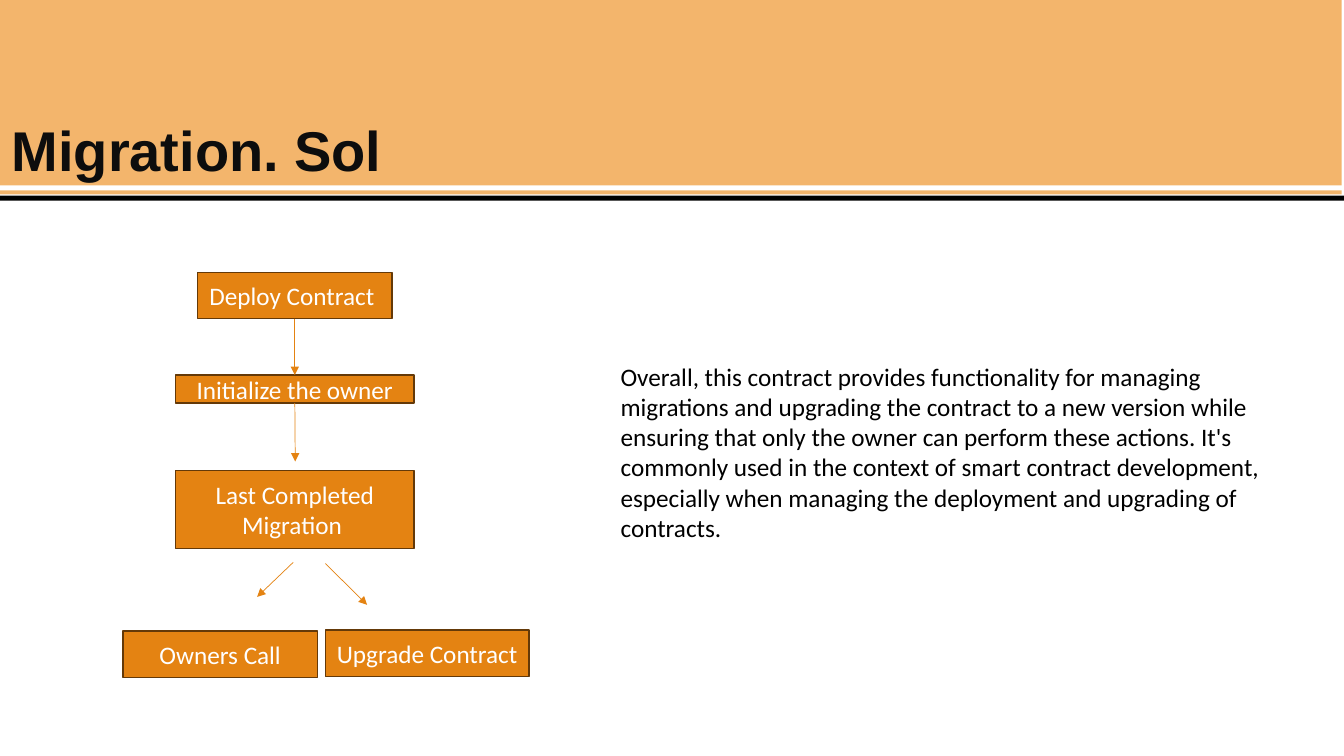
from lxml.etree import SubElement
from pptx import Presentation
from pptx.dml.color import RGBColor
from pptx.enum.shapes import MSO_CONNECTOR as Connector, MSO_SHAPE as Shape
from pptx.enum.text import MSO_ANCHOR as Anchor, MSO_AUTO_SIZE as AutoSize, PP_ALIGN as Align
from pptx.oxml.ns import qn
from pptx.util import Cm, Pt

SAND, ORANGE, BROWN = "F3B56C", "E48312", "643908"
BLACK, WHITE, INK = "000000", "FFFFFF", "0D0D0D"
TOP, BOTTOM = 0, 2
SUMMARY = (
    "Overall, this contract provides functionality for managing migrations and "
    "upgrading the contract to a new version while ensuring that only the owner "
    "can perform these actions. It's commonly used in the context of smart "
    "contract development, especially when managing the deployment and "
    "upgrading of contracts."
)


def paint(colour_format, colour):
    """Set a fill or font colour from a hex string."""
    colour_format.rgb = RGBColor.from_string(colour)


def add_words(frame, words, size, font, colour, bold=False):
    """Write one run into the first paragraph and return that paragraph."""
    frame.word_wrap = True
    paragraph = frame.paragraphs[0]
    run = paragraph.add_run()
    run.text = words
    run.font.size, run.font.name, run.font.bold = Pt(size), font, bold
    paint(run.font.color, colour)
    return paragraph


def add_band(slide, place, colour):
    """Add a filled rectangle without outline."""
    band = slide.shapes.add_shape(Shape.RECTANGLE, *map(Cm, place))
    band.shadow.inherit = False
    band.fill.solid()
    paint(band.fill.fore_color, colour)
    band.line.fill.background()
    return band


def add_step(slide, place, words):
    """Add one labelled box of the flow."""
    step = add_band(slide, place, ORANGE)
    step.line.width = Pt(1)
    step.line.fill.solid()
    paint(step.line.color, BROWN)
    step.text_frame.vertical_anchor = Anchor.MIDDLE
    label = add_words(step.text_frame, words, 18, "Calibri", WHITE)
    label.alignment = Align.CENTER
    return step


def add_passage(slide, place, words, size, font, colour, bold=False):
    """Add a free-standing text box that grows with its text."""
    passage = slide.shapes.add_textbox(*map(Cm, place))
    add_words(passage.text_frame, words, size, font, colour, bold)
    passage.text_frame.auto_size = AutoSize.SHAPE_TO_FIT_TEXT


def add_arrow(slide, start, end, source=None, target=None):
    """Add a thin arrow, joined to the steps it touches."""
    arrow = slide.shapes.add_connector(Connector.STRAIGHT, *map(Cm, (*start, *end)))
    if source is not None:
        arrow.begin_connect(source, BOTTOM)
    if target is not None:
        arrow.end_connect(target, TOP)
    arrow.line.width = Pt(0.5)
    paint(arrow.line.color, ORANGE)
    SubElement(arrow.line._get_or_add_ln(), qn("a:tailEnd"), type="triangle")
    SubElement(arrow._element.spPr, qn("a:effectLst"))


def main():
    """Build the contract migration slide."""
    deck = Presentation()
    deck.slide_width, deck.slide_height = Cm(33.87), Cm(19.05)
    slide = deck.slides.add_slide(deck.slide_layouts[6])

    add_band(slide, (-0.05, 0, 33.86, 4.9), SAND)
    add_passage(slide, (0.05, 2.79, 22.76, 1.96), "Migration. Sol", 40, "Arial", INK, True)
    for top, colour in ((4.93, BLACK), (4.67, WHITE)):
        add_band(slide, (0, top, 33.91, 0.13), colour)
    add_passage(slide, (15.39, 8.97, 17.65, 4.88), SUMMARY, 18, "Calibri", BLACK)

    deploy = add_step(slide, (4.98, 6.86, 4.9, 1.17), "Deploy Contract ")
    owner = add_step(slide, (4.42, 9.45, 6.02, 0.71), "Initialize the owner")
    add_step(slide, (4.42, 11.86, 6.02, 1.96), "Last Completed Migration ")
    add_step(slide, (3.1, 15.9, 4.9, 1.17), "Owners Call")
    add_step(slide, (8.2, 15.88, 5.13, 1.17), "Upgrade Contract")

    add_arrow(slide, (7.43, 8.03), (7.43, 9.45), deploy, owner)
    add_arrow(slide, (7.43, 10.16), (7.44, 11.63), owner)
    add_arrow(slide, (7.39, 14.17), (6.48, 15.04))
    add_arrow(slide, (8.2, 14.2), (9.25, 15.24))

    deck.save("out.pptx")


if __name__ == "__main__":
    main()
